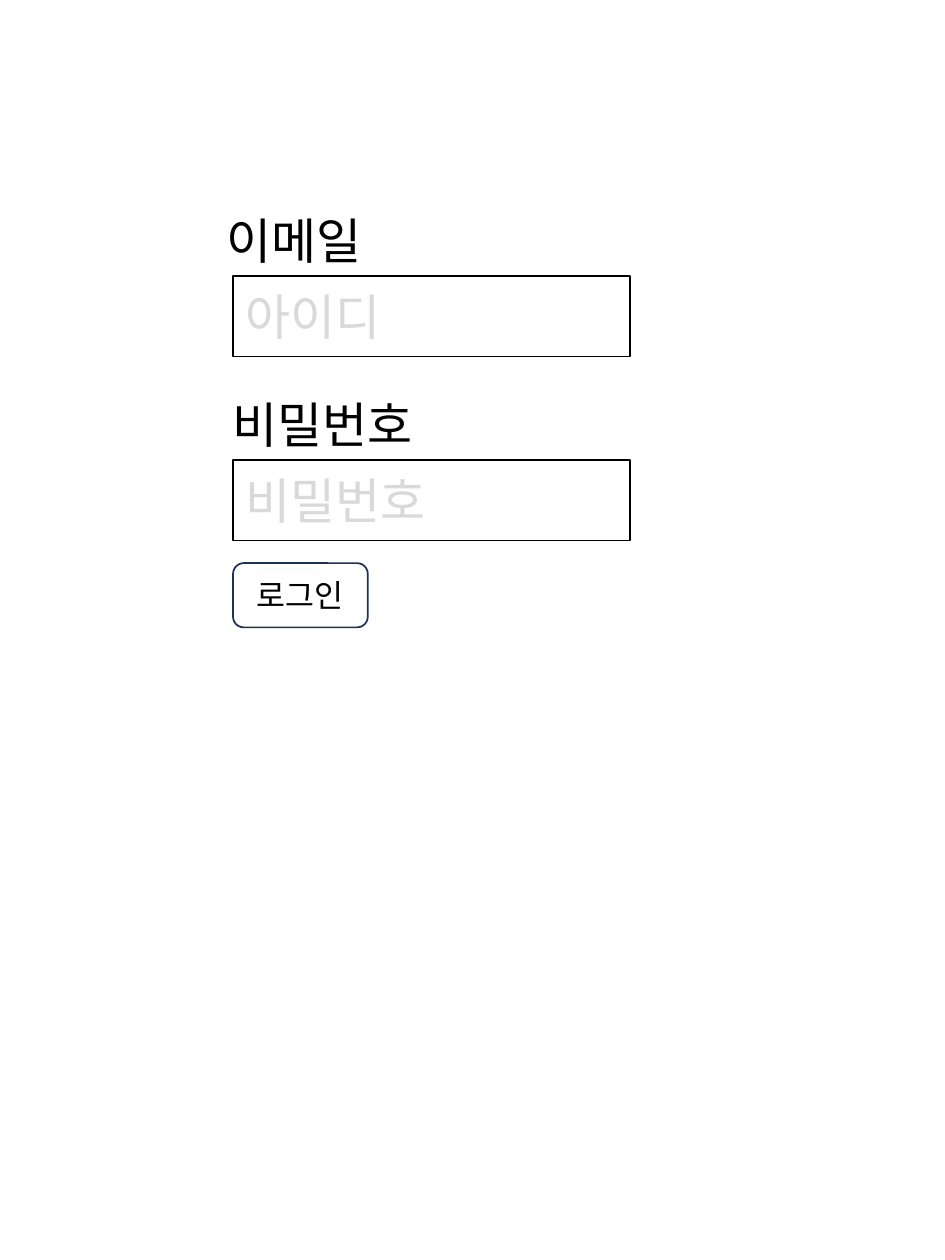
from pptx import Presentation
from pptx.dml.color import RGBColor
from pptx.enum.shapes import MSO_SHAPE
from pptx.enum.text import MSO_ANCHOR, MSO_AUTO_SIZE, PP_ALIGN
from pptx.util import Pt

BLACK = RGBColor(0x00, 0x00, 0x00)
WHITE = RGBColor(0xFF, 0xFF, 0xFF)
GRAY = RGBColor(0xD9, 0xD9, 0xD9)
NAVY = RGBColor(0x1E, 0x32, 0x56)

# label, label left, label width, placeholder text
FIELDS = [
    ("이메일", 122.4, 107.3, "아이디"),
    ("비밀번호", 126, 143.3, "비밀번호"),
]
BUTTON = "로그인"

FORM_LEFT, FORM_TOP = 133.2, 116.6
LABEL_HEIGHT = 41.1
INPUT_WIDTH, INPUT_HEIGHT = 226.8, 46.1
FIELD_STEP = 105.1
BUTTON_TOP, BUTTON_WIDTH, BUTTON_HEIGHT = 321.8, 77, 36.7


def write(shape, text, size, color, align=PP_ALIGN.LEFT):
    paragraph = shape.text_frame.paragraphs[0]
    paragraph.alignment = align
    run = paragraph.add_run()
    run.text = text
    for name, value in {"name": "Calibri", "size": Pt(size)}.items():
        setattr(run.font, name, value)
    run.font.color.rgb = color


def add_box(slide, kind, left, top, width, height, line_color):
    """Add a white outlined box with vertically centred text."""
    box = slide.shapes.add_shape(kind, Pt(left), Pt(top), Pt(width), Pt(height))
    box.shadow.inherit = False
    box.fill.solid()
    box.fill.fore_color.rgb = WHITE
    box.line.color.rgb = line_color
    box.line.width = Pt(1)
    box.text_frame.vertical_anchor = MSO_ANCHOR.MIDDLE
    return box


def add_label(slide, text, left, top, width):
    label = slide.shapes.add_textbox(Pt(left), Pt(top), Pt(width), Pt(LABEL_HEIGHT))
    label.text_frame.word_wrap = True
    label.text_frame.auto_size = MSO_AUTO_SIZE.SHAPE_TO_FIT_TEXT
    write(label, text, 28, BLACK)


def main():
    presentation = Presentation()
    presentation.slide_width, presentation.slide_height = Pt(540), Pt(720)
    slide = presentation.slides.add_slide(presentation.slide_layouts[6])

    for index, (label, left, width, hint) in enumerate(FIELDS):
        top = FORM_TOP + index * FIELD_STEP
        field = add_box(slide, MSO_SHAPE.RECTANGLE, FORM_LEFT, top + LABEL_HEIGHT,
                        INPUT_WIDTH, INPUT_HEIGHT, BLACK)
        write(field, hint, 28, GRAY)
        add_label(slide, label, left, top, width)

    button = add_box(slide, MSO_SHAPE.ROUNDED_RECTANGLE, FORM_LEFT, BUTTON_TOP,
                     BUTTON_WIDTH, BUTTON_HEIGHT, NAVY)
    write(button, BUTTON, 18, BLACK, PP_ALIGN.CENTER)

    presentation.save("out.pptx")


if __name__ == "__main__":
    main()
